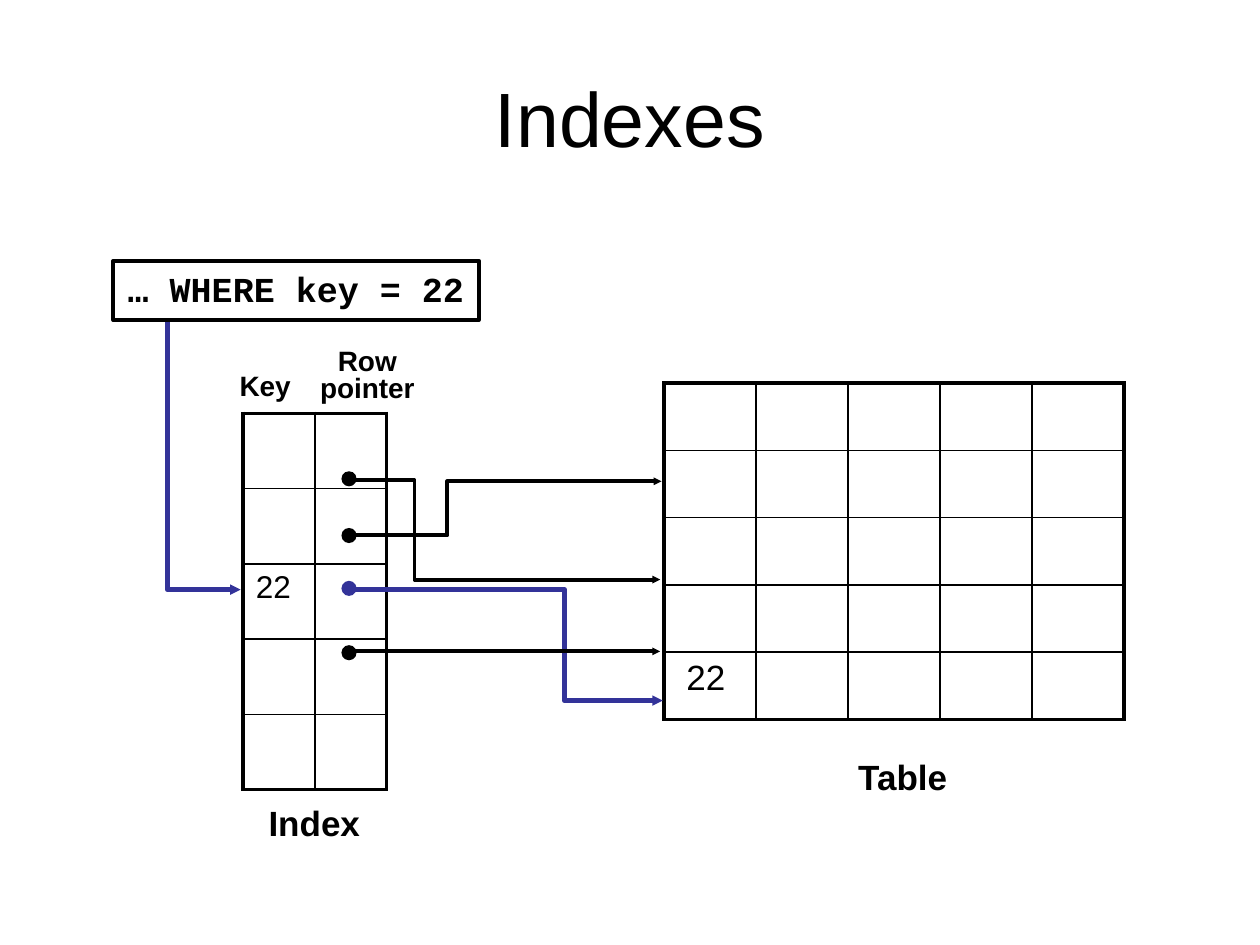
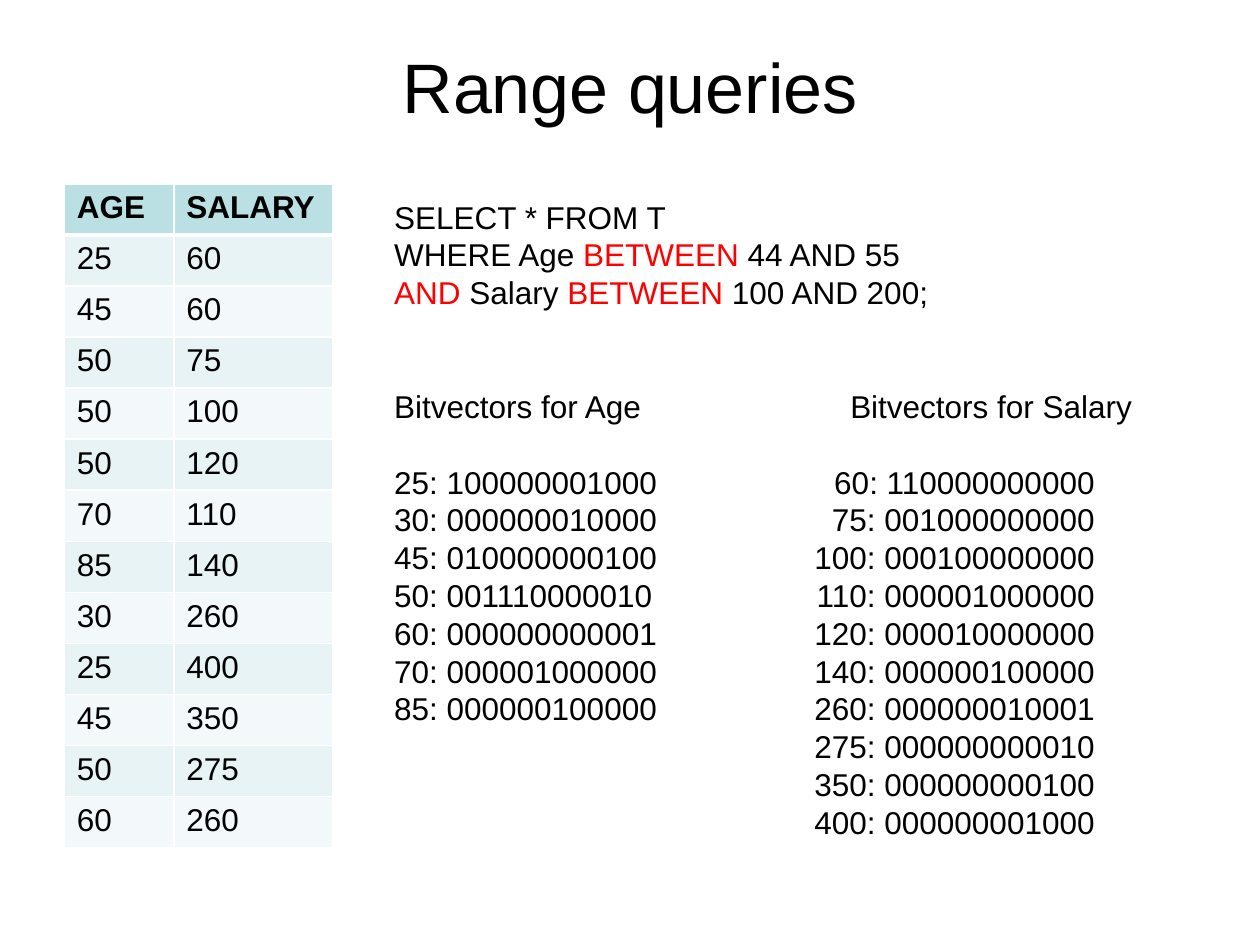
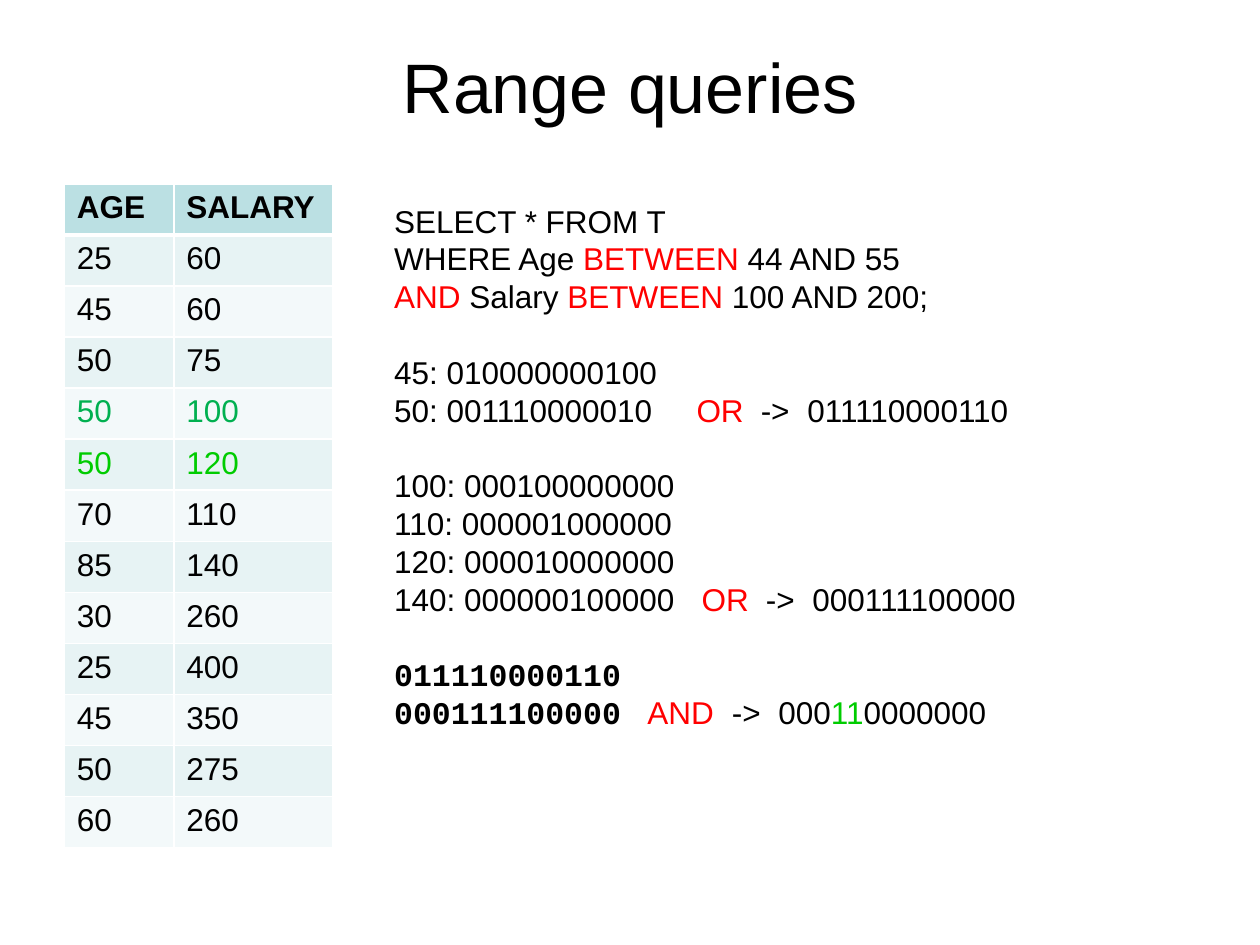
from lxml import etree
from pptx import Presentation
from pptx import util as u
from pptx.dml.color import RGBColor
from pptx.enum import shapes, text
from pptx.oxml.ns import qn

COLORS = {
    "black": "000000", "white": "FFFFFF", "blue": "333399", "red": "FF0000",
    "leaf": "00B050", "green": "00CC00",
    "header": "BBE0E3", "band": "E7F3F4", "pale": "F3F9FA",
}
WIDTH, HEIGHT = 10, 7.5
MARGIN = WIDTH / 20
BLANK = 21.65          # points that stand for one skipped line
THICK, THIN = 2.25, 1

BASE = {"name": "Arial", "size": u.Pt(18), "bold": False}
BOLD = {"bold": True}
CODE = {"name": "Courier New", "bold": True}

RECORDS = [
    (25, 60), (45, 60), (50, 75), (50, 100), (50, 120), (70, 110),
    (85, 140), (30, 260), (25, 400), (45, 350), (50, 275), (60, 260),
]
QUERY = [
    [("SELECT * FROM T ",)],
    [("WHERE Age ",), ("BETWEEN", "red"), (" 44 AND 55",)],
    [("AND", "red"), (" Salary ",), ("BETWEEN", "red"), (" 100 AND 200;",)],
]


def rgb(name):
    return RGBColor.from_string(COLORS[name])


def inches(*values):
    return [u.Inches(value) for value in values]


# ---- text ----
def add_span(para, words, color="black", **font):
    """Add a run; a line feed in the words becomes a line break."""
    for number, part in enumerate(words.split("\n")):
        if number:
            para.add_line_break()
        span = para.add_run()
        span.text = part
        for key, value in {**BASE, **font}.items():
            setattr(span.font, key, value)
        span.font.color.rgb = rgb(color)


def add_label(page, words, at, size, para_format=None, wrap=False,
              anchor=text.MSO_ANCHOR.TOP, **font):
    box = page.shapes.add_textbox(*inches(*at))
    box.text_frame.word_wrap = wrap
    box.text_frame.vertical_anchor = anchor
    para = box.text_frame.paragraphs[0]
    para.alignment = text.PP_ALIGN.CENTER
    for key, value in (para_format or {}).items():
        setattr(para, key, value)
    add_span(para, words, size=u.Pt(size), **font)
    return box


def add_title(page, words, height, size):
    add_label(page, words, (MARGIN, 0.3, WIDTH - 2 * MARGIN, height), size,
              wrap=True, anchor=text.MSO_ANCHOR.MIDDLE)


def set_tabs(para, stops):
    """Stops are (inches from the text edge, 'l' or 'r')."""
    tabs = etree.SubElement(para._p.get_or_add_pPr(), qn("a:tabLst"))
    for place, side in stops:
        etree.SubElement(tabs, qn("a:tab"), pos=str(u.Inches(place)), algn=side)


def add_lines(page, at, lines):
    """Lines are (spans, skipped lines above, tab stops)."""
    frame = page.shapes.add_textbox(*inches(*at)).text_frame
    frame.word_wrap = True
    for number, (spans, skipped, stops) in enumerate(lines):
        para = frame.add_paragraph() if number else frame.paragraphs[0]
        para.space_before = u.Pt(skipped * BLANK)
        if stops:
            set_tabs(para, stops)
        for words, *style in spans:
            color = style[0] if style else "black"
            font = style[1] if len(style) > 1 else {}
            add_span(para, words, color, **font)


# ---- tables ----
def set_borders(cell, color, widths):
    """Widths are points for left, right, top and bottom."""
    props = cell._tc.get_or_add_tcPr()
    for number, (side, width) in enumerate(zip("LRTB", widths)):
        line = etree.Element(qn(f"a:ln{side}"), w=str(u.Pt(width)))
        fill = etree.SubElement(line, qn("a:solidFill"))
        etree.SubElement(fill, qn("a:srgbClr"), val=COLORS[color])
        props.insert(number, line)


def new_table(page, at, rows, widths):
    table = page.shapes.add_table(rows, len(widths), *inches(*at)).table
    table.first_row = table.horz_banding = False
    for column, width in zip(table.columns, widths):
        column.width = u.Inches(width)
    for row in table.rows:
        row.height = u.Inches(at[3] / rows)
    return table


def add_grid(page, at, rows, columns, entry, size):
    """An open grid with a thick frame; entry is (row, column, words)."""
    table = new_table(page, at, rows, [at[2] / columns] * columns)
    for row in range(rows):
        for column in range(columns):
            cell = table.cell(row, column)
            cell.fill.background()
            edges = (column == 0, column == columns - 1,
                     row == 0, row == rows - 1)
            set_borders(cell, "black",
                        [THICK if edge else THIN for edge in edges])
    row, column, words = entry
    add_span(table.cell(row, column).text_frame.paragraphs[0], words,
             size=u.Pt(size))


def add_records(page, marked):
    """The salary table; marked maps a row number to a text colour."""
    rows = [("AGE", "SALARY"), *RECORDS]
    table = new_table(page, (0.51, 1.46, 2.12, 5.27), len(rows), (0.87, 1.26))
    for number, record in enumerate(rows):
        head = number == 0
        fill = "header" if head else "band" if number % 2 else "pale"
        for column, value in enumerate(record):
            cell = table.cell(number, column)
            cell.fill.solid()
            cell.fill.fore_color.rgb = rgb(fill)
            top = 3 if number == 1 else 1
            set_borders(cell, "white", (1, 1, top, 3 if head else 1))
            add_span(cell.text_frame.paragraphs[0], str(value),
                     marked.get(number, "black"), bold=head)


# ---- pointers ----
def add_dot(page, left, top, color):
    dot = page.shapes.add_shape(shapes.MSO_SHAPE.OVAL,
                                *inches(left, top, 0.12, 0.12))
    dot.shadow.inherit = False
    dot.fill.solid()
    dot.fill.fore_color.rgb = rgb(color)
    dot.line.fill.background()


def add_arrow(page, points, color="black", width=THICK):
    """A straight connector for two points, else an angled outline."""
    places = [inches(*point) for point in points]
    if len(places) == 2:
        arrow = page.shapes.add_connector(shapes.MSO_CONNECTOR.STRAIGHT,
                                          *places[0], *places[1])
    else:
        builder = page.shapes.build_freeform(*places[0])
        builder.add_line_segments(places[1:], close=False)
        arrow = builder.convert_to_shape()
        arrow.fill.background()
    arrow.line.color.rgb = rgb(color)
    arrow.line.width = u.Pt(width)
    props = arrow._element.spPr
    etree.SubElement(props.find(qn("a:ln")), qn("a:tailEnd"),
                     type="triangle", w="sm", len="sm")
    etree.SubElement(props, qn("a:effectLst"))


# ---- slides ----
def index_slide(page):
    add_title(page, "Indexes", 1.25, 44)
    add_grid(page, (1.93, 3.28, 1.14, 2.99), 5, 2, (2, 0, "22"), 18)
    add_grid(page, (5.27, 3.04, 3.65, 2.67), 5, 5, (4, 0, " 22"), 20)

    # captions
    gap = {"space_before": u.Pt(1.5)}
    add_label(page, "Index", (2.03, 6.31, 0.93, 0.43), 20, gap, **BOLD)
    add_label(page, "Table", (6.7, 5.95, 0.93, 0.43), 20, gap, **BOLD)
    add_label(page, "Key", (1.67, 2.88, 0.87, 0.37), 16,
              {"space_before": u.Pt(2)}, True, **BOLD)
    add_label(page, "Row\npointer", (2.44, 2.73, 0.95, 0.53), 16,
              {**gap, "line_spacing": 0.8}, **BOLD)

    # the matching key, from the query to its row
    add_dot(page, 2.71, 4.61, "blue")
    for points in (
        [(2.77, 4.68), (4.48, 4.68), (4.48, 5.56), (5.26, 5.56)],
        [(1.33, 2.54), (1.33, 4.68), (1.91, 4.68)],
    ):
        add_arrow(page, points, "blue", 3)
    query = add_label(page, "… WHERE key = 22", (0.9, 2.07, 2.9, 0.47), 20,
                      {"space_before": u.Pt(3.5)}, **CODE)
    query.line.color.rgb = rgb("black")
    query.line.width = u.Pt(THICK)

    # the other row pointers
    for top in (5.12, 4.19, 3.74):
        add_dot(page, 2.71, top, "black")
    for points in (
        [(2.77, 4.25), (3.55, 4.25), (3.55, 3.82), (5.25, 3.82)],
        [(2.77, 5.17), (5.24, 5.17)],
        [(2.77, 3.81), (3.29, 3.81), (3.29, 4.6), (5.24, 4.6)],
    ):
        add_arrow(page, points)


def bitvector_slide(page):
    add_title(page, "Range queries", 0.75, 40)
    add_records(page, {})
    ages = [
        "25: 100000001000", "30: 000000010000", "45: 010000000100",
        "50: 001110000010", "60: 000000000001", "70: 000001000000",
        "85: 000000100000", "", "", "",
    ]
    salaries = [
        "60: 110000000000", "75: 001000000000", "100: 000100000000",
        "110: 000001000000", "120: 000010000000", "140: 000000100000",
        "260: 000000010001", "275: 000000000010", "350: 000000000100",
        "400: 000000001000",
    ]
    lines = [(spans, 0, ()) for spans in QUERY]
    lines.append(([("Bitvectors for Age\tBitvectors for Salary",)], 2,
                  [(3.62, "l")]))
    for number, pair in enumerate(zip(ages, salaries)):
        lines.append(([("\t".join(pair),)], int(number == 0), [(5.56, "r")]))
    add_lines(page, (3.03, 1.52, 6.06, 5.86), lines)


def result_slide(page):
    add_title(page, "Range queries", 0.75, 40)
    add_records(page, {4: "leaf", 5: "green"})

    def combined(words, operator, result, start, arrow, end, font=None):
        spans = [(words, "black", font or {}), ("\t",), (operator, "red"),
                 ("\t->\t",), *result]
        return spans, 0, [(start, "l"), (arrow, "l"), (end, "l")]

    lines = [(spans, 0, ()) for spans in QUERY]
    lines += [
        ([("45: 010000000100",)], 1, ()),
        combined("50: 001110000010", "OR", [("011110000110",)],
                 2.4, 2.91, 3.28),
        ([("100: 000100000000",)], 1, ()),
        ([("110: 000001000000",)], 0, ()),
        ([("120: 000010000000",)], 0, ()),
        combined("140: 000000100000", "OR", [("000111100000",)],
                 2.44, 2.95, 3.32),
        ([("011110000110", "black", CODE)], 1, ()),
        combined("000111100000", "AND",
                 [("000",), ("11", "green"), ("0000000",)],
                 2.01, 2.68, 3.05, CODE),
    ]
    add_lines(page, (3.03, 1.55, 6.06, 5.25), lines)


def main():
    deck = Presentation()
    deck.slide_width, deck.slide_height = inches(WIDTH, HEIGHT)
    for build in (index_slide, bitvector_slide, result_slide):
        build(deck.slides.add_slide(deck.slide_layouts[6]))
    deck.save("out.pptx")


main()
